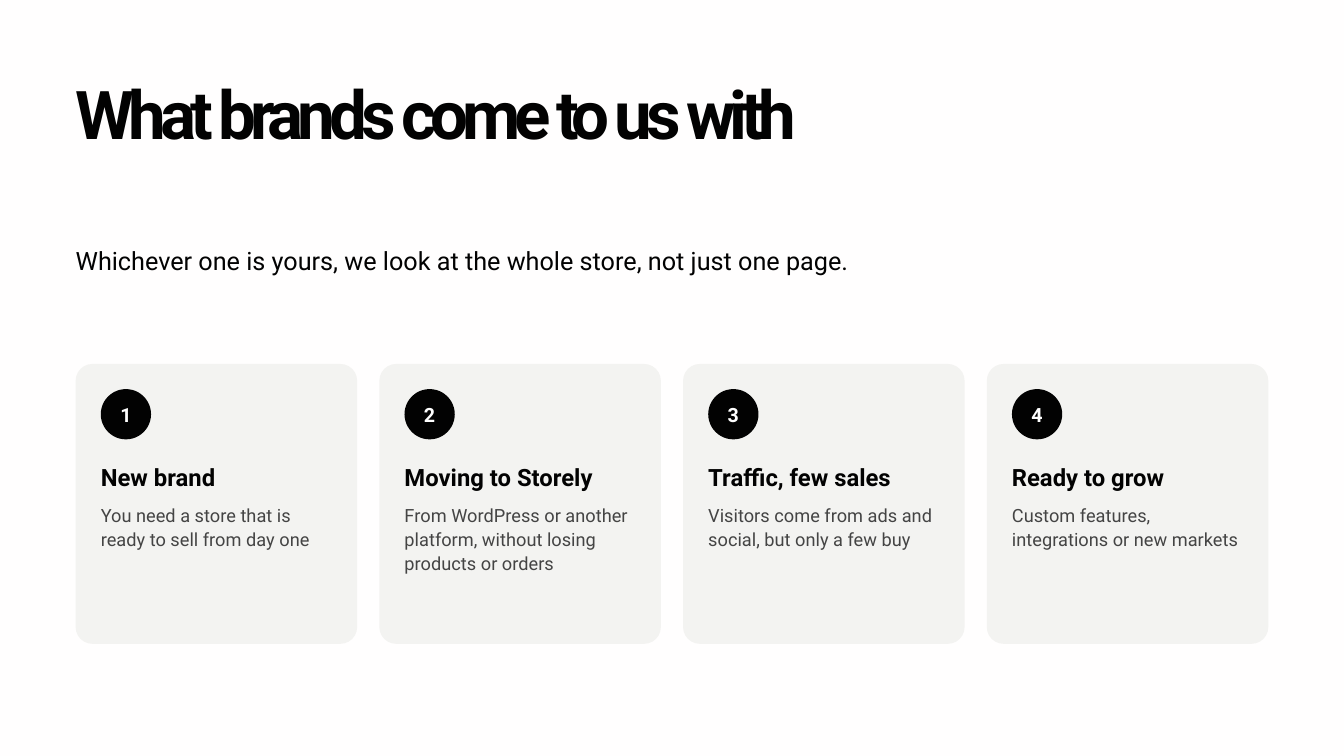
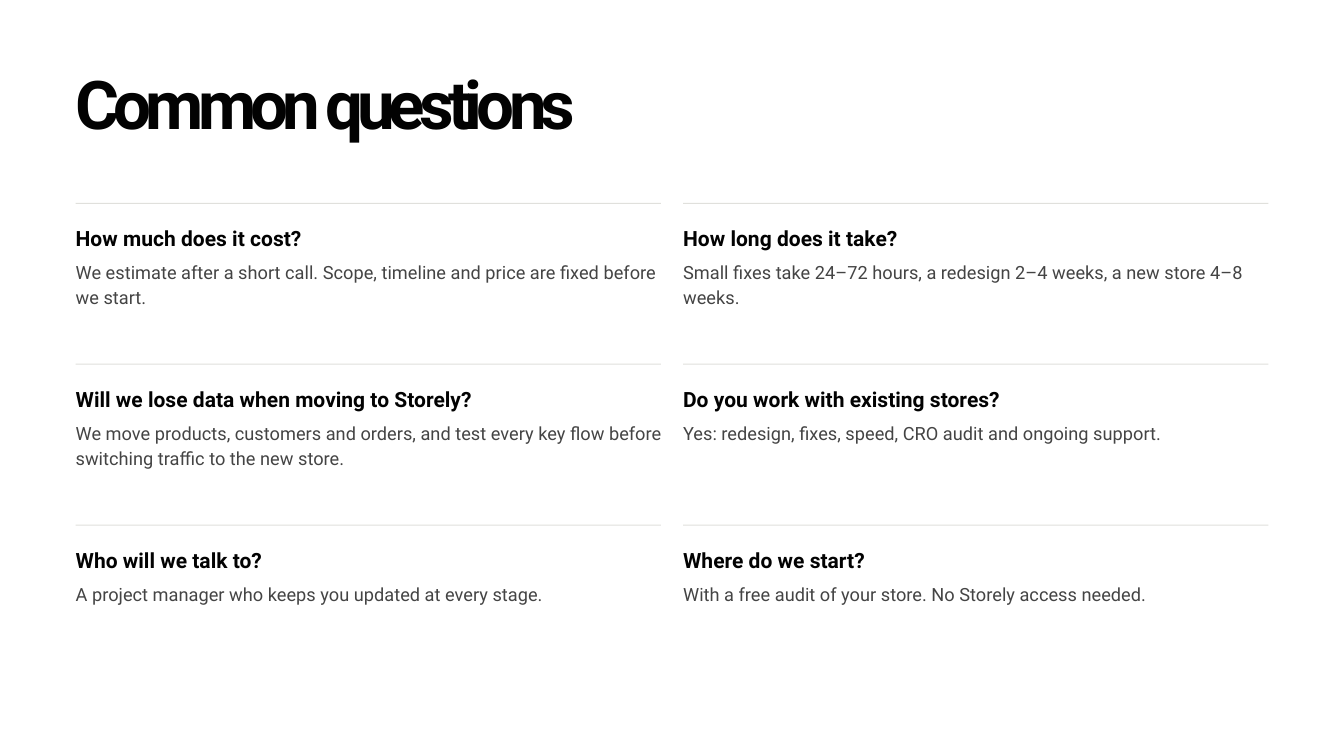
from dataclasses import dataclass

from pptx import Presentation
from pptx.dml.color import RGBColor
from pptx.enum.shapes import MSO_SHAPE
from pptx.enum.text import MSO_ANCHOR, MSO_AUTO_SIZE, PP_ALIGN
from pptx.presentation import Presentation as Deck
from pptx.shapes.autoshape import Shape
from pptx.slide import Slide
from pptx.text.text import TextFrame
from pptx.util import Cm, Pt


@dataclass(frozen=True)
class TextStyle:
    size: float
    leading: float
    color: str
    bold: bool = False
    tracking: float = 0


@dataclass(frozen=True)
class Theme:
    font: str = "Roboto"
    paper: str = "FFFFFF"
    soft_paper: str = "FFFEFE"
    ink: str = "020202"
    card: str = "F3F3F1"
    rule: str = "E0E0DC"
    title: TextStyle = TextStyle(72, 72, "020202", True, -6.3)
    lead: TextStyle = TextStyle(27, 36.5, "020202")
    badge: TextStyle = TextStyle(21, 25.2, "FFFFFF", True)
    card_heading: TextStyle = TextStyle(25.5, 31.5, "020202", True)
    question: TextStyle = TextStyle(22.5, 28.5, "020202", True)
    body: TextStyle = TextStyle(19.5, 26.2, "444444")


@dataclass(frozen=True)
class Box:
    x: float
    y: float
    w: float
    h: float

    def emu(self) -> tuple[Cm, Cm, Cm, Cm]:
        return Cm(self.x), Cm(self.y), Cm(self.w), Cm(self.h)


@dataclass(frozen=True)
class Entry:
    heading: str
    body: str


THEME = Theme()
SLIDE_W, SLIDE_H = 50.8, 28.58
MARGIN = 2.86
GUTTER = 0.84
CONTENT_W = SLIDE_W - 2 * MARGIN

BRAND_NEEDS = [
    Entry("New brand", "You need a store that is ready to sell from day one"),
    Entry("Moving to Storely",
          "From WordPress or another platform, without losing products or orders"),
    Entry("Traffic, few sales",
          "Visitors come from ads and social, but only a few buy"),
    Entry("Ready to grow", "Custom features, integrations or new markets"),
]

QUESTIONS = [
    Entry("How much does it cost?",
          "We estimate after a short call. Scope, timeline and price are fixed "
          "before we start."),
    Entry("How long does it take?",
          "Small fixes take 24–72 hours, a redesign 2–4 weeks, a new store "
          "4–8 weeks."),
    Entry("Will we lose data when moving to Storely?",
          "We move products, customers and orders, and test every key flow "
          "before switching traffic to the new store."),
    Entry("Do you work with existing stores?",
          "Yes: redesign, fixes, speed, CRO audit and ongoing support."),
    Entry("Who will we talk to?",
          "A project manager who keeps you updated at every stage."),
    Entry("Where do we start?",
          "With a free audit of your store. No Storely access needed."),
]


def column_width(columns: int) -> float:
    return (CONTENT_W - (columns - 1) * GUTTER) / columns


def column_x(column: int, columns: int) -> float:
    return MARGIN + column * (column_width(columns) + GUTTER)


def write(tf: TextFrame, text: str, style: TextStyle) -> None:
    tf.margin_left = tf.margin_right = tf.margin_top = tf.margin_bottom = 0
    tf.word_wrap = True
    tf.text = text
    p = tf.paragraphs[0]
    p.line_spacing = Pt(style.leading)
    r = p.runs[0]
    r.font.name = THEME.font
    r.font.size = Pt(style.size)
    r.font.bold = style.bold
    r.font.color.rgb = RGBColor.from_string(style.color)
    if style.tracking:
        r.font._element.set("spc", str(round(style.tracking * 100)))


def add_text(s: Slide, box: Box, text: str, style: TextStyle) -> None:
    tf = s.shapes.add_textbox(*box.emu()).text_frame
    write(tf, text, style)
    tf.auto_size = MSO_AUTO_SIZE.SHAPE_TO_FIT_TEXT


def add_block(s: Slide, kind: MSO_SHAPE, box: Box, color: str) -> Shape:
    sp = s.shapes.add_shape(kind, *box.emu())
    sp.shadow.inherit = False
    sp.fill.solid()
    sp.fill.fore_color.rgb = RGBColor.from_string(color)
    sp.line.fill.background()
    return sp


def add_slide(prs: Deck, background: str, title: str, title_box: Box) -> Slide:
    s = prs.slides.add_slide(prs.slide_layouts[6])
    s.background.fill.solid()
    s.background.fill.fore_color.rgb = RGBColor.from_string(background)
    add_text(s, title_box, title, THEME.title)
    return s


def add_badge(s: Slide, x: float, y: float, number: int) -> None:
    sp = add_block(s, MSO_SHAPE.OVAL, Box(x, y, 1.9, 1.9), THEME.ink)
    tf = sp.text_frame
    write(tf, str(number), THEME.badge)
    tf.vertical_anchor = MSO_ANCHOR.MIDDLE
    tf.paragraphs[0].alignment = PP_ALIGN.CENTER


def add_need_card(s: Slide, box: Box, number: int, need: Entry) -> None:
    pad = 0.95
    text_x, text_w = box.x + pad, 9.04
    card = add_block(s, MSO_SHAPE.ROUNDED_RECTANGLE, box, THEME.card)
    card.adjustments[0] = 0.06
    add_badge(s, text_x, box.y + pad, number)
    add_text(s, Box(text_x, box.y + 3.71, text_w, 1.12), need.heading,
             THEME.card_heading)
    add_text(s, Box(text_x, box.y + 5.19, text_w, 2.77), need.body, THEME.body)


def add_question(s: Slide, x: float, y: float, w: float, item: Entry) -> None:
    text_w = w + 0.3
    add_block(s, MSO_SHAPE.RECTANGLE, Box(x, y, w, 0.04), THEME.rule)
    add_text(s, Box(x, y + 0.8, text_w, 1.02), item.heading, THEME.question)
    add_text(s, Box(x, y + 2.12, text_w, 1.85), item.body, THEME.body)


def build_needs(prs: Deck) -> None:
    s = add_slide(prs, THEME.soft_paper, "What brands come to us with",
                  Box(MARGIN, 3.25, 29.41, 5.08))
    add_text(s, Box(MARGIN, 9.14, 34.72, 1.3),
             "Whichever one is yours, we look at the whole store, not just one page.",
             THEME.lead)
    columns = len(BRAND_NEEDS)
    for i, need in enumerate(BRAND_NEEDS):
        box = Box(column_x(i, columns), 13.76, column_width(columns), 10.58)
        add_need_card(s, box, i + 1, need)


def build_questions(prs: Deck) -> None:
    s = add_slide(prs, THEME.paper, "Common questions",
                  Box(MARGIN, MARGIN, 45.42, 2.54))
    columns, top, row_pitch = 2, 7.67, 6.08
    for i, item in enumerate(QUESTIONS):
        row, column = divmod(i, columns)
        add_question(s, column_x(column, columns), top + row * row_pitch,
                     column_width(columns), item)


def main() -> None:
    prs = Presentation()
    prs.slide_width, prs.slide_height = Cm(SLIDE_W), Cm(SLIDE_H)
    build_needs(prs)
    build_questions(prs)
    prs.save("out.pptx")


if __name__ == "__main__":
    main()
